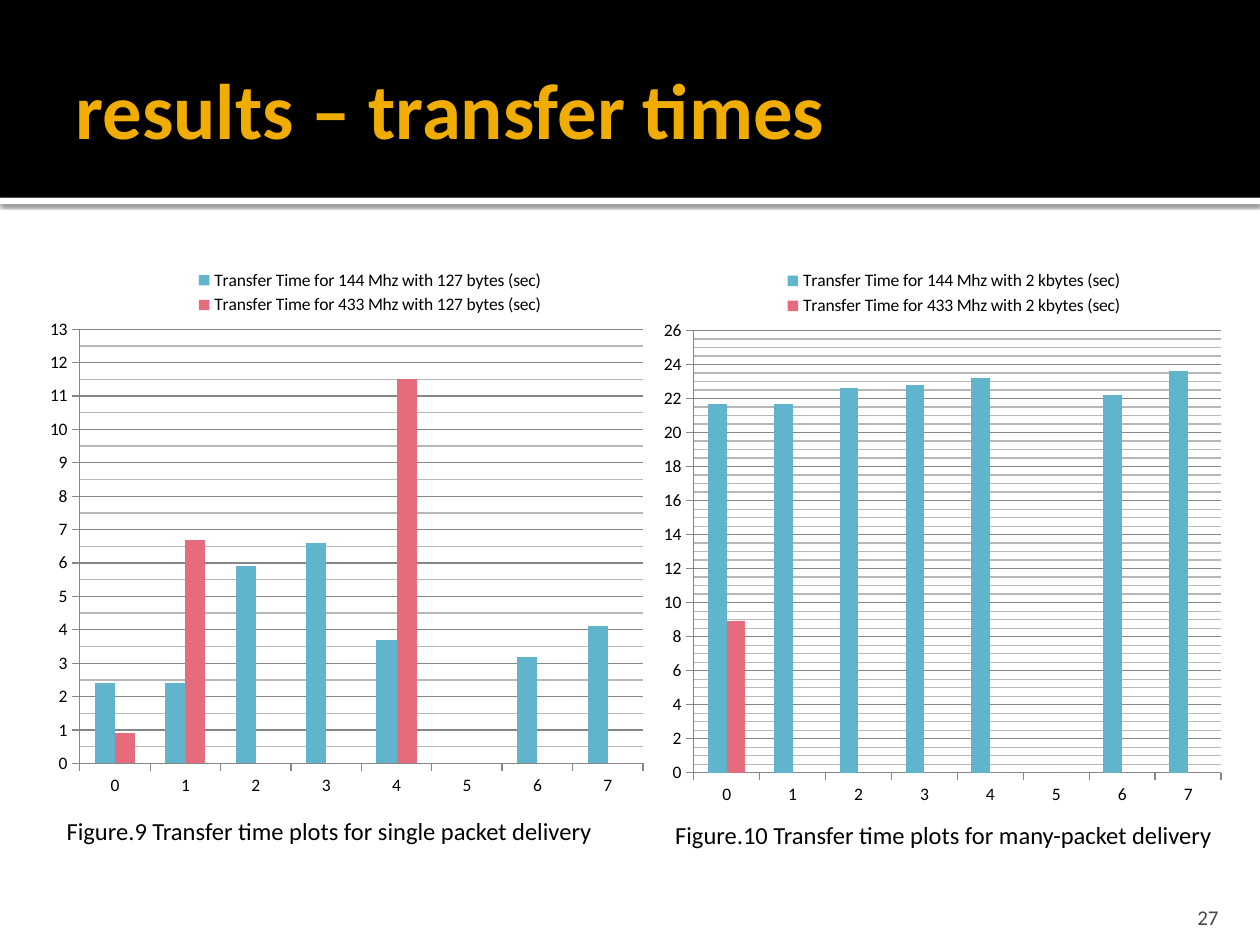
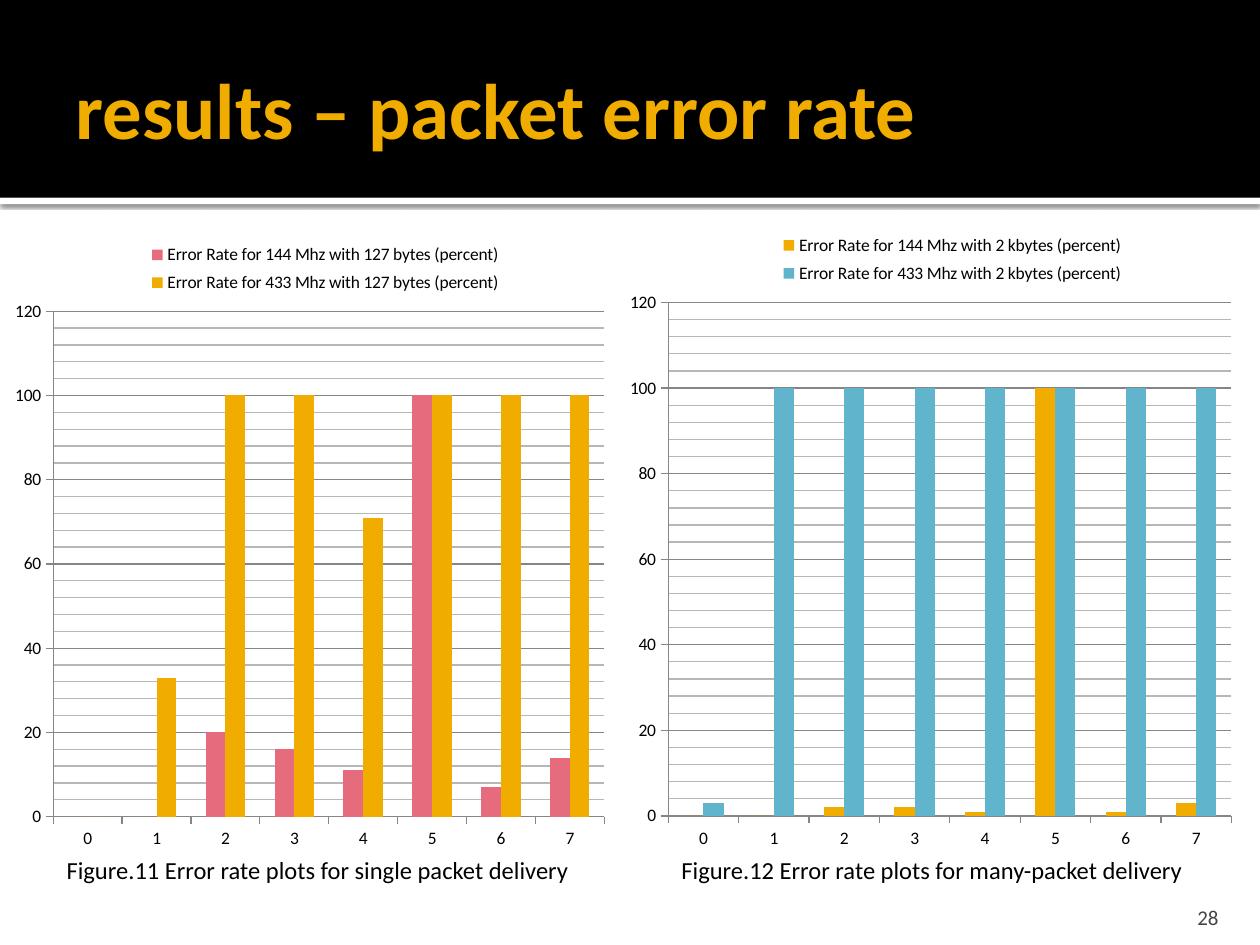
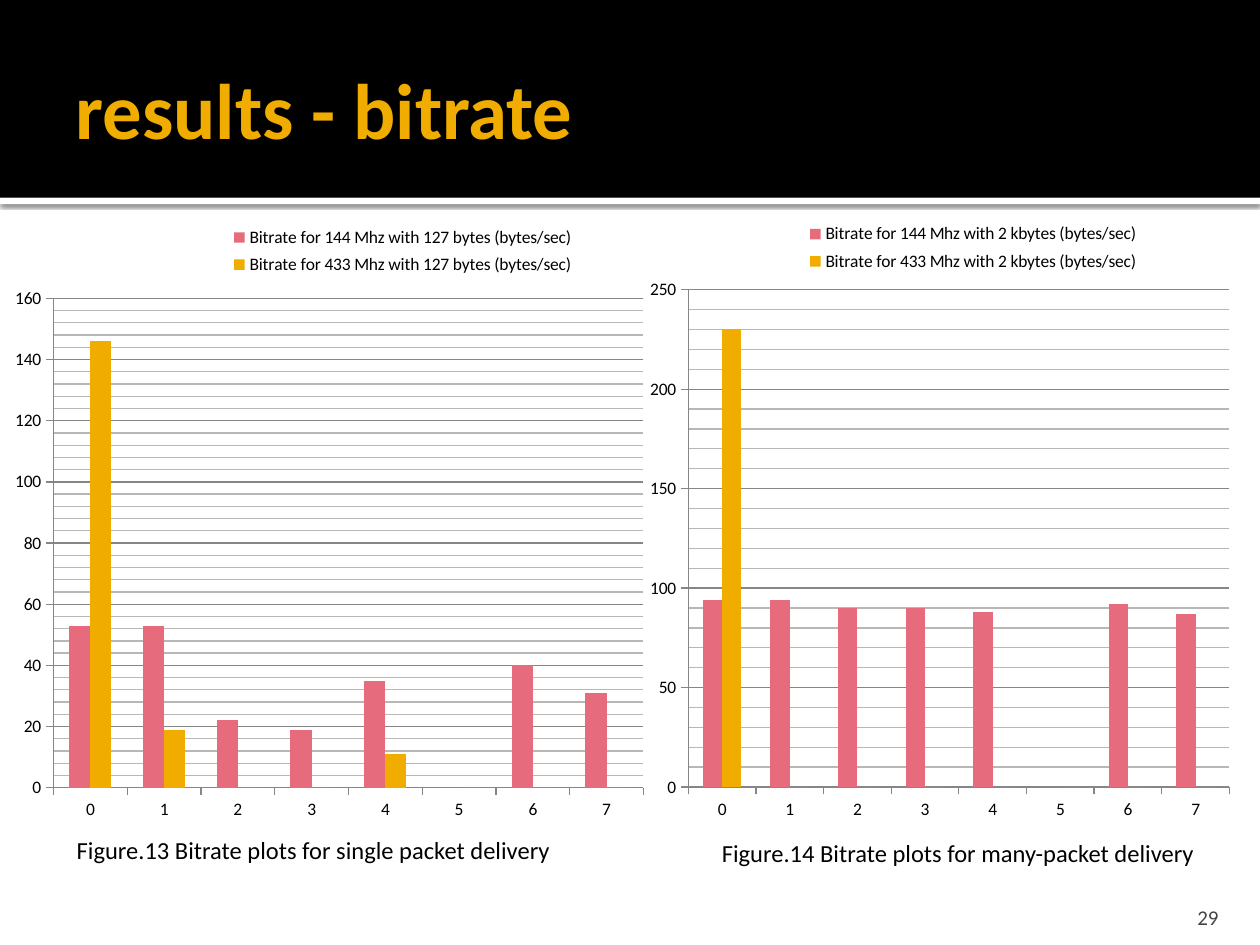
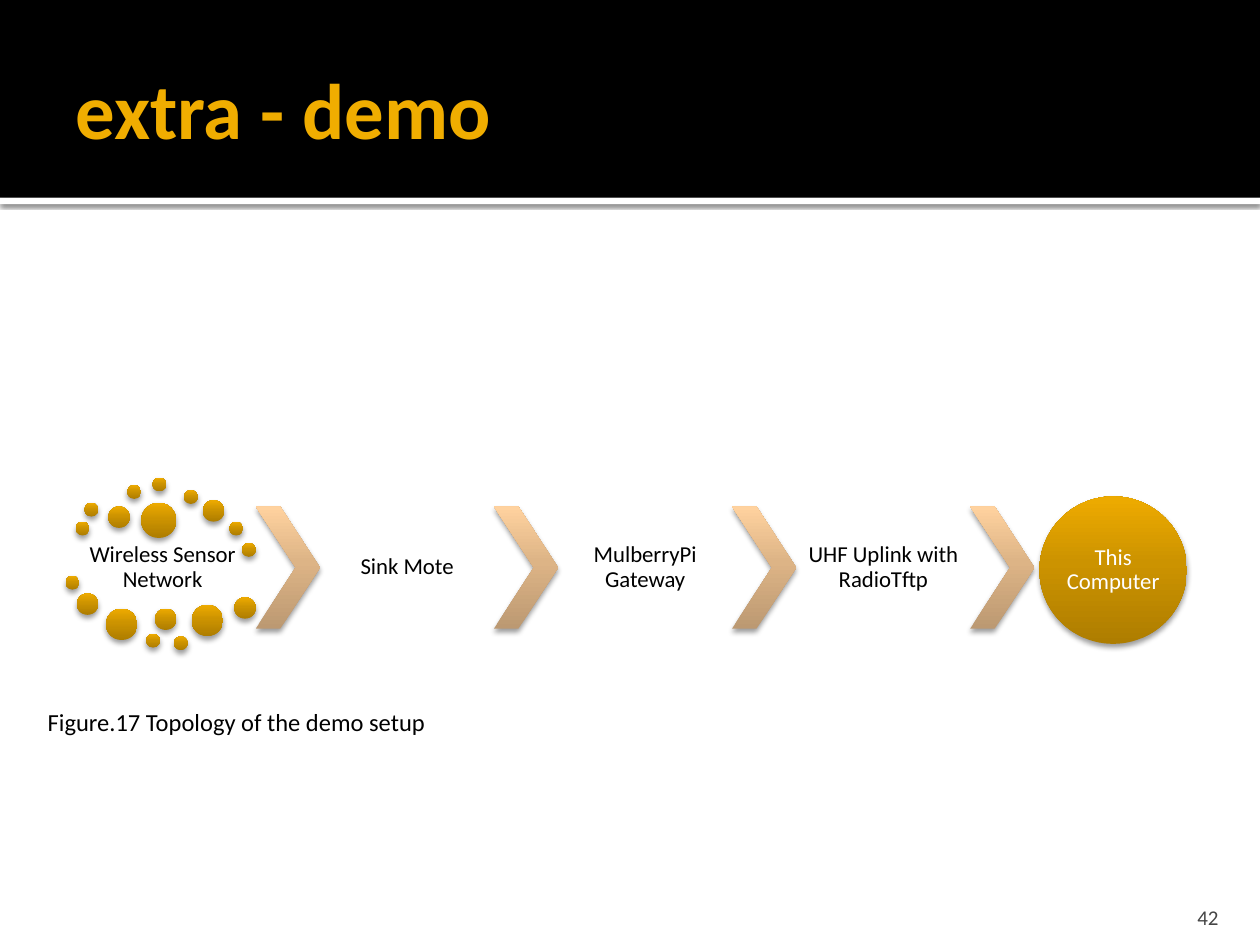
"""Build four slides on radio transfer results and a demo topology."""
from dataclasses import dataclass

from pptx import Presentation
from pptx.chart.data import CategoryChartData
from pptx.dml.color import RGBColor
from pptx.enum.chart import XL_CHART_TYPE, XL_LEGEND_POSITION, XL_TICK_MARK
from pptx.enum.shapes import MSO_SHAPE
from pptx.enum.text import MSO_ANCHOR, MSO_AUTO_SIZE, PP_ALIGN
from pptx.oxml import parse_xml
from pptx.oxml.ns import nsdecls, qn
from pptx.util import Inches, Pt

COLUMNS = XL_CHART_TYPE.COLUMN_CLUSTERED
LEGEND_RIGHT = XL_LEGEND_POSITION.RIGHT
TICK_OUT, TICK_NONE = XL_TICK_MARK.OUTSIDE, XL_TICK_MARK.NONE
RECTANGLE, OVAL, CHEVRON = MSO_SHAPE.RECTANGLE, MSO_SHAPE.OVAL, MSO_SHAPE.CHEVRON
TOP, MIDDLE, BOTTOM = MSO_ANCHOR.TOP, MSO_ANCHOR.MIDDLE, MSO_ANCHOR.BOTTOM
LEFT, CENTER, RIGHT = PP_ALIGN.LEFT, PP_ALIGN.CENTER, PP_ALIGN.RIGHT
NO_FIT, GROW = MSO_AUTO_SIZE.NONE, MSO_AUTO_SIZE.SHAPE_TO_FIT_TEXT


@dataclass(frozen=True)
class Theme:
    """Colours, type sizes and effects shared by the deck."""

    font: str = "Calibri"
    black: str = "000000"
    white: str = "FFFFFF"
    gold: str = "F0AD00"
    blue: str = "60B5CC"
    pink: str = "E66C7D"
    number: str = "454545"
    major_grid: str = "868686"
    minor_grid: str = "B7B7B7"
    title_size: int = 45
    caption_size: int = 14
    label_size: int = 13
    number_size: int = 12
    chart_size: int = 10
    grid_width: float = 0.75
    gold_shade: tuple = ((0, "AE7D00"), (55, "CC9300"), (100, "EEAB00"))
    sand_shade: tuple = ((0, "BC9972"), (55, "DDB486"), (100, "FFD29F"))
    band_shadow: tuple = (60, 2.5, 0.8)
    node_shadow: tuple = (38, 3.1, 2)


@dataclass(frozen=True)
class Plot:
    """One column chart: its place, names, values, colours and scale."""

    at: tuple
    measure: str
    load: str
    unit: str
    low_band: tuple
    high_band: tuple
    colors: tuple
    scale: tuple
    legend_at: tuple
    number_format: str = "General"


THEME = Theme()
PLOT_LAYOUT = (0.058, 0.137, 0.916, 0.796)
LEGEND_SIZE = (0.6, 0.1)
SHORT, LONG = "127 bytes", "2 kbytes"
BLUE_PINK = (THEME.blue, THEME.pink)
PINK_GOLD = (THEME.pink, THEME.gold)
GOLD_BLUE = (THEME.gold, THEME.blue)

RESULTS = (
    (
        "results – transfer times", 27,
        (
            Plot((0.35, 2.02, 4.88, 4.33), "Transfer Time", SHORT, "sec",
                 (2.4, 2.4, 5.9, 6.6, 3.7, 0, 3.2, 4.1), (0.9, 6.7, 0, 0, 11.5, 0, 0, 0),
                 BLUE_PINK, (13, 1, 0.5), (0.23, 0.02)),
            Plot((5.24, 2.02, 4.57, 4.41), "Transfer Time", LONG, "sec",
                 (21.7, 21.7, 22.6, 22.8, 23.2, 0, 22.2, 23.6), (8.9, 0, 0, 0, 0, 0, 0, 0),
                 BLUE_PINK, (26, 2, 0.5), (0.21, 0.02)),
        ),
        (
            ("Figure.9 Transfer time plots for single packet delivery", (0.43, 6.43, 4.45, 0.34)),
            ("Figure.10 Transfer time plots for many-packet delivery", (5.26, 6.46, 4.54, 0.34)),
        ),
    ),
    (
        "results – packet error rate", 28,
        (
            Plot((0.12, 1.78, 4.8, 5.04), "Error Rate", SHORT, "percent",
                 (0, 0, 20, 16, 11, 100, 7, 14), (0, 33, 100, 100, 71, 100, 100, 100),
                 PINK_GOLD, (120, 20, 4), (0.21, 0.02)),
            Plot((5, 1.7, 4.9, 5.12), "Error Rate", LONG, "percent",
                 (0, 0, 2, 2, 1, 100, 1, 3), (3, 100, 100, 100, 100, 100, 100, 100),
                 GOLD_BLUE, (120, 20, 4), (0.22, 0.02)),
        ),
        (
            ("Figure.11 Error rate plots for single packet delivery", (0.43, 6.74, 4.22, 0.34)),
            ("Figure.12 Error rate plots for many-packet delivery", (5.31, 6.74, 4.24, 0.34)),
        ),
    ),
    (
        "results - bitrate", 29,
        (
            Plot((0.12, 1.7, 5.12, 4.88), "Bitrate", SHORT, "bytes/sec",
                 (53, 53, 22, 19, 35, 0, 40, 31), (146, 19, 0, 0, 11, 0, 0, 0),
                 PINK_GOLD, (160, 20, 4), (0.3, 0.01), "0"),
            Plot((5.16, 1.62, 4.72, 4.96), "Bitrate", LONG, "bytes/sec",
                 (94, 94, 90, 90, 88, 0, 92, 87), (230, 0, 0, 0, 0, 0, 0, 0),
                 PINK_GOLD, (250, 50, 10), (0.24, 0.02), "0"),
        ),
        (
            ("Figure.13 Bitrate plots for single packet delivery", (0.51, 6.58, 3.99, 0.34)),
            ("Figure.14 Bitrate plots for many-packet delivery", (5.63, 6.6, 4.02, 0.34)),
        ),
    ),
)

MOTES = {
    0.11: ((0.6, 4.14), (0.67, 3.99), (1.01, 3.85), (1.21, 3.79), (1.46, 3.89), (1.82, 4.14),
           (1.92, 4.31), (0.52, 4.57), (1.16, 5.03), (1.38, 5.05)),
    0.17: ((0.86, 4.02), (1.61, 3.97), (0.61, 4.71), (1.23, 4.83), (1.86, 4.74)),
    0.25: ((0.84, 4.83), (1.52, 4.8)),
    0.28: ((1.12, 3.99),),
}
HOPS = ("Sink Mote", "MulberryPi Gateway", "UHF Uplink with RadioTftp")
HOP_LEFT, HOP_TOP, HOP_PITCH, HOP_HEIGHT = 2.03, 4.02, 1.89, 0.97
CHEVRON_WIDTH, LABEL_WIDTH = 0.51, 1.38


def place(at):
    """Turn a box in inches into lengths."""
    return [Inches(value) for value in at]


def write(frame, text, size, color, align=LEFT, anchor=TOP, inset=(0.1, 0.05, 0.1, 0.05),
          bold=False, spacing=None):
    """Put one formatted run into a text frame."""
    frame.margin_left, frame.margin_top, frame.margin_right, frame.margin_bottom = place(inset)
    frame.vertical_anchor = anchor
    para = frame.paragraphs[0]
    para.alignment = align
    para.line_spacing = spacing
    span = para.add_run()
    span.text = text
    span.font.name = THEME.font
    span.font.size = Pt(size)
    span.font.bold = bold
    span.font.color.rgb = RGBColor.from_string(color)


def add_text(shapes, text, at, size, color, wrap=True, fit=NO_FIT, **style):
    """Add a text box holding one run."""
    frame = shapes.add_textbox(*place(at)).text_frame
    frame.word_wrap = wrap
    frame.auto_size = fit
    write(frame, text, size, color, **style)


def add_label(shapes, text, at, color=THEME.black, inset=0.02):
    """Add a centred diagram label."""
    add_text(shapes, text, at, THEME.label_size, color, align=CENTER, anchor=MIDDLE,
             inset=(inset,) * 4, spacing=0.9)


def add_caption(slide, text, at, wrap=False):
    """Add a figure caption."""
    add_text(slide.shapes, text, at, THEME.caption_size, THEME.black, wrap=wrap, fit=GROW)


def cast_shadow(shape, opacity, blur, distance):
    """Give a shape a soft shadow straight below it."""
    shape.shadow.inherit = False
    effects = shape.element.spPr.find(qn("a:effectLst"))
    effects.append(parse_xml(
        f'<a:outerShdw {nsdecls("a")} blurRad="{Pt(blur)}" dist="{Pt(distance)}" dir="5400000" '
        f'algn="ctr" rotWithShape="0"><a:srgbClr val="{THEME.black}">'
        f'<a:alpha val="{opacity * 1000}"/></a:srgbClr></a:outerShdw>'))


def add_band(shapes, at, color):
    """Add a plain filled band."""
    band = shapes.add_shape(RECTANGLE, *place(at))
    band.fill.solid()
    band.fill.fore_color.rgb = RGBColor.from_string(color)
    band.line.fill.background()
    band.shadow.inherit = False
    return band


def add_node(shapes, kind, at, shade):
    """Add a shaded diagram shape with a shadow."""
    node = shapes.add_shape(kind, *place(at))
    node.fill.gradient()
    node.fill.gradient_angle = 90
    stops = node.element.spPr.find(".//" + qn("a:gsLst"))
    for stop in list(stops):
        stops.remove(stop)
    for position, color in shade:
        stops.append(parse_xml(
            f'<a:gs {nsdecls("a")} pos="{position * 1000}"><a:srgbClr val="{color}"/></a:gs>'))
    node.line.fill.background()
    cast_shadow(node, *THEME.node_shadow)
    return node


def add_header_bands(slide):
    """Move the header bands to the back of the slide's layout."""
    rule = add_band(slide.shapes, (0, 1.57, 10, 0.05), THEME.white)
    cast_shadow(rule, *THEME.band_shadow)
    header = add_band(slide.shapes, (0, 0, 10, 1.57), THEME.black)
    for index, band in enumerate((rule, header), start=2):
        slide.slide_layout.shapes.element.insert(index, band.element)


def add_page(deck, title, number):
    """Add a slide with its title and page number."""
    slide = deck.slides.add_slide(deck.slide_layouts[5])
    box = slide.shapes.title
    box.left, box.top, box.width, box.height = place((0.5, 0.17, 9, 1.37))
    box.text_frame.auto_size = NO_FIT
    write(box.text_frame, title, THEME.title_size, THEME.gold, anchor=MIDDLE,
          inset=(0.1, 0.05, 0.05, 0.05), bold=True)
    add_text(slide.shapes, str(number), (8.97, 7.08, 0.8, 0.3), THEME.number_size, THEME.number,
             align=RIGHT, anchor=BOTTOM, inset=(0.1, 0.05, 0.1, 0))
    return slide


def set_layout(part, index, bounds, target=""):
    """Fix the place of a chart part as fractions of the chart."""
    for old in part.findall(qn("c:layout")):
        part.remove(old)
    modes = "".join(f'<c:{side}Mode val="edge"/>' for side in "xy")
    sizes = "".join(f'<c:{side} val="{value}"/>' for side, value in zip("xywh", bounds))
    part.insert(index, parse_xml(
        f'<c:layout {nsdecls("c")}><c:manualLayout>{target}{modes}{sizes}'
        '</c:manualLayout></c:layout>'))


def style_line(line, color):
    """Draw a thin line in one colour."""
    line.width = Pt(THEME.grid_width)
    line.color.rgb = RGBColor.from_string(color)


def style_minor_grid(chart):
    """Draw the minor gridlines thin and pale."""
    grid = chart.element.find(".//" + qn("c:minorGridlines"))
    grid.append(parse_xml(
        f'<c:spPr {nsdecls("c", "a")}><a:ln w="{Pt(THEME.grid_width)}"><a:solidFill>'
        f'<a:srgbClr val="{THEME.minor_grid}"/></a:solidFill></a:ln></c:spPr>'))


def style_axes(chart, plot):
    """Set scale, ticks and gridlines."""
    values = chart.value_axis
    values.minimum_scale = 0
    values.maximum_scale, values.major_unit, values.minor_unit = plot.scale
    values.has_major_gridlines = values.has_minor_gridlines = True
    style_line(values.major_gridlines.format.line, THEME.major_grid)
    style_minor_grid(chart)
    values.tick_labels.number_format = plot.number_format
    values.tick_labels.number_format_is_linked = False
    for axis in (values, chart.category_axis):
        axis.major_tick_mark = TICK_OUT
        axis.minor_tick_mark = TICK_NONE
        style_line(axis.format.line, THEME.major_grid)


def add_column_chart(slide, plot):
    """Add a chart comparing the two radio bands."""
    data = CategoryChartData()
    data.categories = [str(index) for index in range(len(plot.low_band))]
    for band, values in ((144, plot.low_band), (433, plot.high_band)):
        data.add_series(f"{plot.measure} for {band} Mhz with {plot.load} ({plot.unit})", values)
    chart = slide.shapes.add_chart(COLUMNS, *place(plot.at), data).chart
    chart.has_title = False
    chart.font.name = THEME.font
    chart.font.size = Pt(THEME.chart_size)
    chart.font.color.rgb = RGBColor.from_string(THEME.black)
    columns = chart.plots[0]
    columns.gap_width = 150
    columns.overlap = 0
    columns.vary_by_categories = False
    for series, color in zip(columns.series, plot.colors):
        series.format.fill.solid()
        series.format.fill.fore_color.rgb = RGBColor.from_string(color)
    style_axes(chart, plot)
    chart.has_legend = True
    chart.legend.position = LEGEND_RIGHT
    chart.legend.include_in_layout = False
    root = chart.element
    set_layout(root.find(".//" + qn("c:plotArea")), 0, PLOT_LAYOUT,
               '<c:layoutTarget val="inner"/>')
    set_layout(root.find(".//" + qn("c:legend")), 1, plot.legend_at + LEGEND_SIZE)


def add_topology(slide):
    """Draw the chain from the sensor network to the computer."""
    shapes = slide.shapes.add_group_shape().shapes
    add_label(shapes, "Wireless Sensor Network", (0.6, 4.28, LABEL_WIDTH, 0.45))
    for size, corners in MOTES.items():
        for left, top in corners:
            add_node(shapes, OVAL, (left, top, size, size), THEME.gold_shade)
    for index in range(len(HOPS) + 1):
        left = HOP_LEFT + index * HOP_PITCH
        arrow = add_node(shapes, CHEVRON, (left, HOP_TOP, CHEVRON_WIDTH, HOP_HEIGHT),
                         THEME.sand_shade)
        arrow.adjustments[0] = 0.62
        if index < len(HOPS):
            add_label(shapes, HOPS[index],
                      (left + CHEVRON_WIDTH, HOP_TOP, LABEL_WIDTH, HOP_HEIGHT))
    add_node(shapes, OVAL, (8.25, 3.94, 1.17, 1.17), THEME.gold_shade)
    add_label(shapes, "This Computer", (8.42, 4.11, 0.83, 0.83), THEME.white, inset=0)


def main():
    """Build and save the deck."""
    deck = Presentation()
    deck.slide_width, deck.slide_height = Inches(10), Inches(7.5)
    for title, number, plots, captions in RESULTS:
        slide = add_page(deck, title, number)
        for plot in plots:
            add_column_chart(slide, plot)
        for text, at in captions:
            add_caption(slide, text, at)
    demo = add_page(deck, "extra - demo", 42)
    add_topology(demo)
    add_caption(demo, "Figure.17 Topology of the demo setup", (0.28, 5.56, 9.13, 0.34), wrap=True)
    add_header_bands(demo)
    deck.save("out.pptx")


if __name__ == "__main__":
    main()
